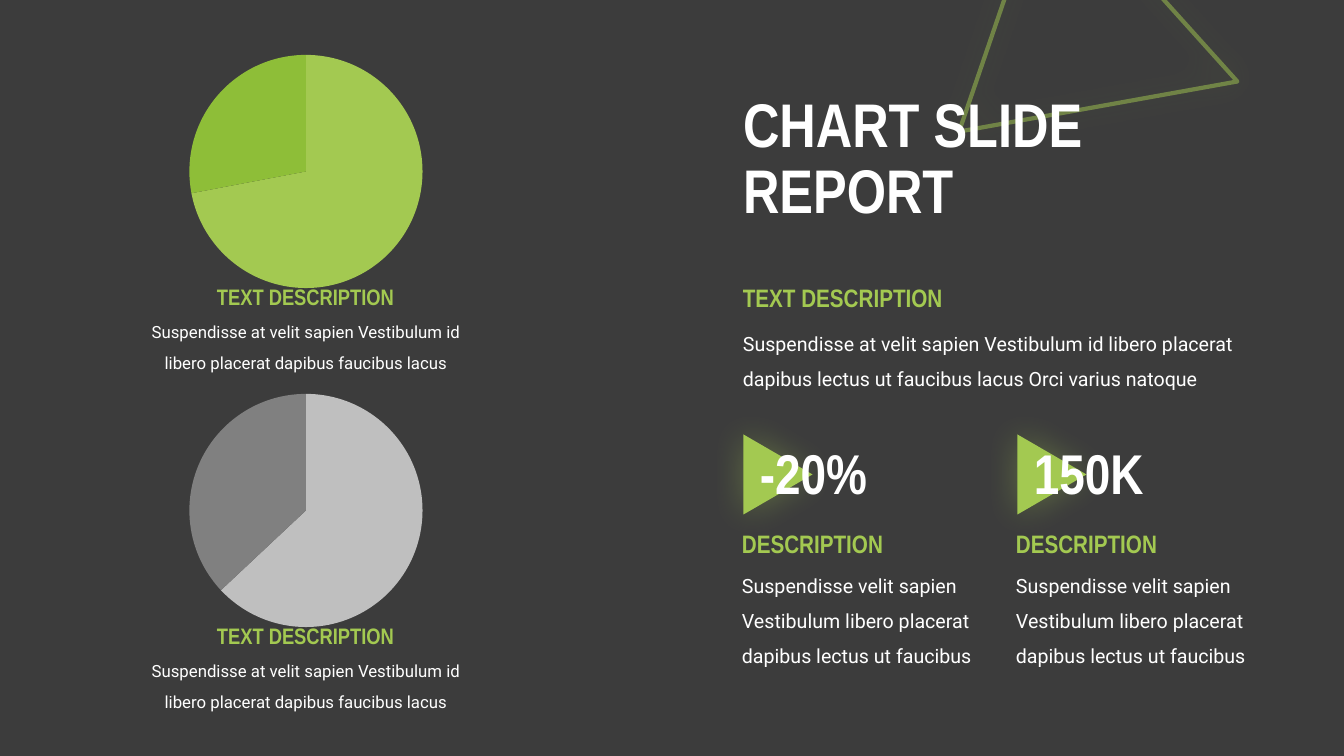
from dataclasses import dataclass

from lxml.etree import SubElement
from pptx import Presentation
from pptx.chart.data import CategoryChartData
from pptx.dml.color import RGBColor
from pptx.enum.chart import XL_CHART_TYPE
from pptx.enum.shapes import MSO_SHAPE
from pptx.enum.text import MSO_ANCHOR, MSO_AUTO_SIZE, PP_ALIGN
from pptx.oxml.ns import qn
from pptx.util import Pt

EMU_PER_PX = 914400 / 100.8


@dataclass(frozen=True)
class Theme:
    """Colours, fonts and type sizes of the slide."""
    background: str = "3C3C3C"
    green: str = "A3C951"
    dark_green: str = "8EBE38"
    light_grey: str = "BFBFBF"
    grey: str = "808080"
    white: str = "FFFFFF"
    heading_font: str = "Arial Narrow"
    body_font: str = "Roboto"
    title_size: int = 44
    figure_size: int = 40
    heading_size: int = 18
    caption_heading_size: int = 16
    body_size: int = 14
    caption_size: int = 12
    chart_size: int = 10


THEME = Theme()


def px(value):
    """Turn pixels into EMU."""
    return round(value * EMU_PER_PX)


def box(left, top, width, height):
    """Turn a pixel rectangle into EMU."""
    return px(left), px(top), px(width), px(height)


def set_font(font, name, size, color, bold=False):
    """Format a font."""
    font.name = name
    font.size = Pt(size)
    font.bold = bold
    font.color.rgb = RGBColor.from_string(color)


def paint(fill, color, opacity=100):
    """Give a fill a solid colour with an opacity in percent."""
    fill.solid()
    fill.fore_color.rgb = RGBColor.from_string(color)
    if opacity < 100:
        color_element = fill._xPr.find(qn("a:solidFill"))[0]
        SubElement(color_element, qn("a:alpha"), val=str(opacity * 1000))


def add_glow(shape):
    """Give a shape a soft green shadow without offset."""
    shape.shadow.inherit = False
    effects = shape._element.spPr.find(qn("a:effectLst"))
    shadow = SubElement(effects, qn("a:outerShdw"), blurRad=str(Pt(25)),
                        dist="0", dir="0", algn="ctr", rotWithShape="0")
    color = SubElement(shadow, qn("a:srgbClr"), val=THEME.green)
    SubElement(color, qn("a:alpha"), val="35000")


def add_panel(slide):
    """Add the panel behind the charts."""
    panel = slide.shapes.add_shape(MSO_SHAPE.RECTANGLE, *box(0, 0, 612, 756))
    panel.shadow.inherit = False
    paint(panel.fill, THEME.background, 90)
    panel.line.fill.background()


def add_triangle(slide, bounds, rotation):
    """Add a rotated glowing triangle."""
    triangle = slide.shapes.add_shape(MSO_SHAPE.ISOSCELES_TRIANGLE, *box(*bounds))
    triangle.rotation = rotation
    add_glow(triangle)
    return triangle


def add_outline_triangle(slide):
    """Add the large outlined triangle at the top."""
    triangle = add_triangle(slide, (983, -82, 275, 247), 108.9)
    triangle.fill.background()
    triangle.line.width = Pt(3)
    paint(triangle.line.fill, THEME.green, 50)


def set_title(slide, text):
    """Place and format the title in front of the outlined triangle."""
    title = slide.shapes.title
    title.left, title.top, title.width, title.height = box(733, 81, 566, 159)
    frame = title.text_frame
    frame.text = text
    frame.auto_size = MSO_AUTO_SIZE.NONE
    frame.vertical_anchor = MSO_ANCHOR.MIDDLE
    paragraph = frame.paragraphs[0]
    paragraph.alignment = PP_ALIGN.LEFT
    paragraph.line_spacing = 0.9
    for run in paragraph.runs:
        set_font(run.font, THEME.heading_font, THEME.title_size, THEME.white, True)
    slide.shapes._spTree.append(title._element)


def add_text(slide, bounds, text, size, font=THEME.body_font, color=THEME.white,
             bold=False, spacing=1.0, alignment=PP_ALIGN.LEFT):
    """Add a wrapped text box."""
    frame = slide.shapes.add_textbox(*box(*bounds)).text_frame
    frame.word_wrap = True
    frame.auto_size = MSO_AUTO_SIZE.SHAPE_TO_FIT_TEXT
    frame.text = text
    paragraph = frame.paragraphs[0]
    paragraph.alignment = alignment
    paragraph.line_spacing = spacing
    set_font(paragraph.runs[0].font, font, size, color, bold)


def add_heading(slide, bounds, text, size=THEME.heading_size, color=THEME.green,
                alignment=PP_ALIGN.LEFT):
    """Add a bold line in the heading font."""
    add_text(slide, bounds, text, size, THEME.heading_font, color, True,
             alignment=alignment)


def add_body(slide, bounds, text, size=THEME.body_size, alignment=PP_ALIGN.LEFT):
    """Add widely spaced body text."""
    add_text(slide, bounds, text, size, spacing=1.5, alignment=alignment)


def add_pie(slide, top, values, colors):
    """Add a pie chart with its caption."""
    data = CategoryChartData()
    data.categories = ["1", "2"]
    data.add_series("Series 1", values)
    chart = slide.shapes.add_chart(XL_CHART_TYPE.PIE, *box(131, top, 350, 261), data).chart
    chart.has_title = False
    chart.has_legend = False
    set_font(chart.font, THEME.body_font, THEME.chart_size, THEME.white)
    plot = chart.plots[0]
    plot.vary_by_categories = False
    for index, color in enumerate(colors):
        paint(plot.series[0].points[index].format.fill, color)
    add_body(slide, (131, top + 266, 350, 68),
             "Suspendisse at velit sapien Vestibulum id libero placerat dapibus faucibus lacus",
             THEME.caption_size, PP_ALIGN.CENTER)
    add_heading(slide, (182, top + 237, 247, 37), "TEXT DESCRIPTION",
                THEME.caption_heading_size, alignment=PP_ALIGN.CENTER)


def add_figure(slide, left, figure):
    """Add a key figure on a triangle with its description."""
    triangle = add_triangle(slide, (left + 6, 440, 80, 69), 90)
    paint(triangle.fill, THEME.green)
    triangle.line.fill.background()
    add_body(slide, (left, 557, 283, 113),
             "Suspendisse velit sapien Vestibulum libero placerat dapibus lectus ut faucibus")
    add_heading(slide, (left, 523, 247, 40), "DESCRIPTION")
    add_heading(slide, (left + 18, 434, 180, 78), figure, THEME.figure_size, THEME.white)


def main():
    """Build and save the slide."""
    presentation = Presentation()
    presentation.slide_width, presentation.slide_height = px(1344), px(756)
    slide = presentation.slides.add_slide(presentation.slide_layouts[5])
    paint(slide.background.fill, THEME.background)
    add_panel(slide)
    add_outline_triangle(slide)
    set_title(slide, "CHART SLIDE\vREPORT")
    add_pie(slide, 41, (72, 28), (THEME.green, THEME.dark_green))
    add_pie(slide, 380, (63, 37), (THEME.light_grey, THEME.grey))
    add_body(slide, (733, 315, 517, 78),
             "Suspendisse at velit sapien Vestibulum id libero placerat "
             "dapibus lectus ut faucibus lacus Orci varius natoque")
    add_heading(slide, (733, 277, 247, 40), "TEXT DESCRIPTION")
    for left, figure in ((732, "-20%"), (1006, "150K")):
        add_figure(slide, left, figure)
    presentation.save("out.pptx")


if __name__ == "__main__":
    main()
